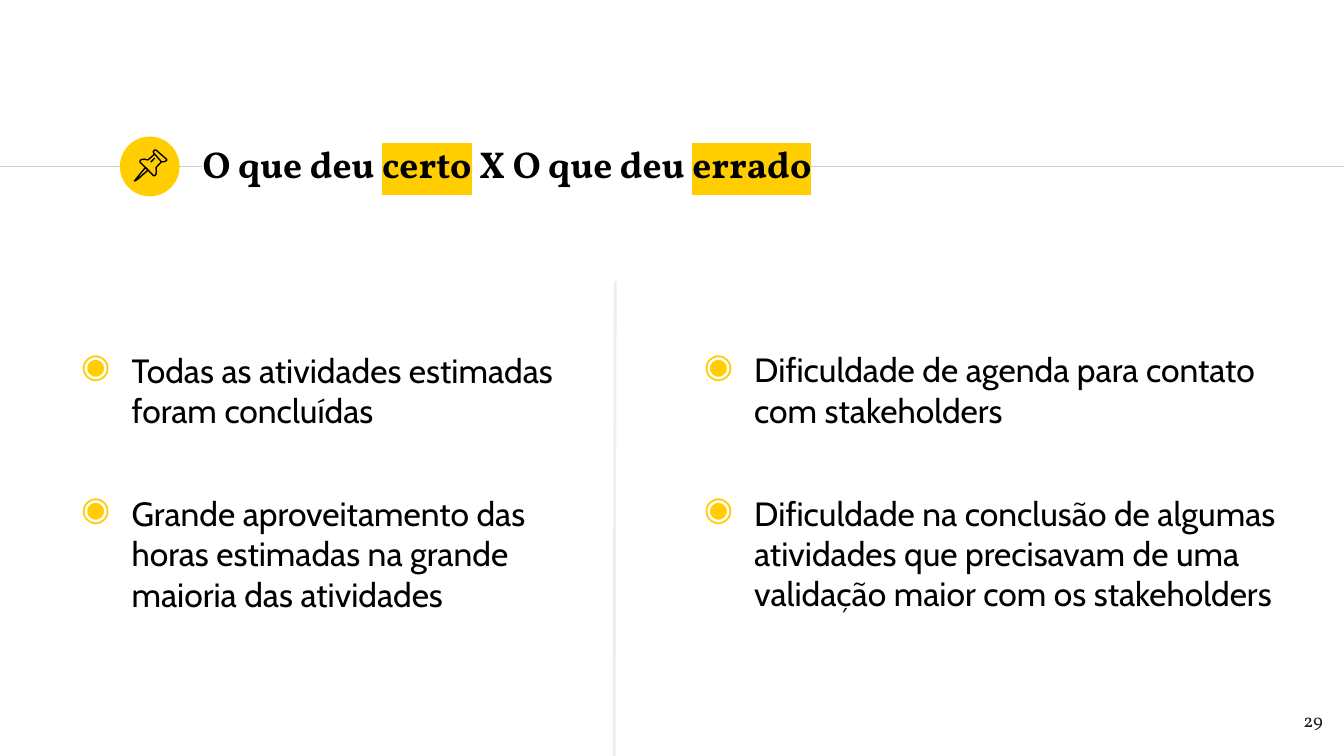
from lxml import etree
from pptx import Presentation
from pptx.dml.color import RGBColor
from pptx.enum.shapes import MSO_CONNECTOR, MSO_SHAPE
from pptx.enum.text import MSO_ANCHOR, PP_ALIGN
from pptx.oxml.ns import qn
from pptx.util import Pt

STRAIGHT = MSO_CONNECTOR.STRAIGHT
OVAL = MSO_SHAPE.OVAL
TOP, MIDDLE = MSO_ANCHOR.TOP, MSO_ANCHOR.MIDDLE
RIGHT = PP_ALIGN.RIGHT

BLACK = RGBColor(0x00, 0x00, 0x00)
INK = RGBColor(0x1D, 0x1D, 0x1B)
YELLOW = RGBColor(0xFF, 0xCD, 0x00)
GRAY = RGBColor(0xCC, 0xCC, 0xCC)
CREAM = RGBColor(0xF0, 0xEE, 0xE9)

SERIF, SANS = "Vollkorn", "Cabin"
WIDTH, HEIGHT = 720, 405

TITLE = [("O que deu ", False), ("certo", True), (" X O que deu ", False), ("errado", True)]
RIGHT_ITEMS = [
    "Todas as atividades estimadas foram concluídas",
    "Grande aproveitamento das horas estimadas na grande maioria das atividades",
]
WRONG_ITEMS = [
    "Dificuldade de agenda para contato com stakeholders",
    "Dificuldade na conclusão de algumas atividades que precisavam de uma "
    "validação maior com os stakeholders",
]

NEEDLE = [(13.7, 16.6), (8.3, 23.2), (7.9, 23.8), (9.4, 23), (15.1, 18)]
HEAD = [(18.7, 9.4), (22.3, 13.5), (23.8, 13.5), (25.1, 12.8), (25.1, 12.2),
        (19.4, 7.2), (18.7, 7.2), (18, 7.9), (18, 8.6)]
BODY = [(18.7, 9.4), (15.1, 12.5), (13, 12.1), (11.5, 12.4), (10.8, 13), (10.8, 13.7),
        (18, 20.9), (18.7, 20.9), (19.4, 20.2), (19.6, 18.4), (19.4, 16.6), (22.3, 13.5)]
GLINT = [(16.6, 13.7), (18.7, 11.5)]
PIN = [(NEEDLE, True), (HEAD, True), (BODY, False), (GLINT, False)]


def add_line(s, x1, y1, x2, y2, color, weight):
    line = s.shapes.add_connector(STRAIGHT, Pt(x1), Pt(y1), Pt(x2), Pt(y2))
    line.line.color.rgb = color
    line.line.width = Pt(weight)
    etree.SubElement(line._element.spPr, qn("a:effectLst"))


def add_text_frame(s, x, y, w, h, anchor=TOP):
    tf = s.shapes.add_textbox(Pt(x), Pt(y), Pt(w), Pt(h)).text_frame
    tf.word_wrap = True
    tf.vertical_anchor = anchor
    tf.margin_left = tf.margin_right = tf.margin_top = tf.margin_bottom = Pt(7.2)
    return tf


def set_font(p, name, size, color, bold=False):
    p.font.name = name
    p.font.size = Pt(size)
    p.font.color.rgb = color
    p.font.bold = bold


def highlight(r, color):
    mark = etree.SubElement(r._r.get_or_add_rPr(), qn("a:highlight"))
    etree.SubElement(mark, qn("a:srgbClr"), val=str(color))


def set_bullet(p, char, color):
    pPr = p._p.get_or_add_pPr()
    pPr.set("marL", str(Pt(36)))
    pPr.set("indent", str(Pt(-27)))
    bullet_color = etree.Element(qn("a:buClr"))
    etree.SubElement(bullet_color, qn("a:srgbClr"), val=str(color))
    bullet = etree.Element(qn("a:buChar"), char=char)
    defRPr = pPr.find(qn("a:defRPr"))
    defRPr.addprevious(bullet_color)
    defRPr.addprevious(bullet)


def add_pin_icon(s, x, y, size):
    sp = s.shapes.add_shape(OVAL, Pt(x), Pt(y), Pt(size), Pt(size))
    sp.shadow.inherit = False
    sp.fill.solid()
    sp.fill.fore_color.rgb = YELLOW
    sp.line.fill.background()
    pin = s.shapes.add_group_shape()
    for outline, closed in PIN:
        points = [(Pt(x + dx), Pt(y + dy)) for dx, dy in outline]
        builder = pin.shapes.build_freeform(*points[0])
        builder.add_line_segments(points[1:], close=closed)
        sp = builder.convert_to_shape()
        sp.shadow.inherit = False
        sp.fill.background()
        sp.line.color.rgb = BLACK
        sp.line.width = Pt(0.75)


def add_header(s, x, y, w, h):
    middle = y + h / 2
    add_line(s, x, middle, x + 108, middle, GRAY, 0.75)
    add_line(s, x + 415, middle, x + w, middle, GRAY, 0.75)
    add_pin_icon(s, x + 64.2, y, h)
    tf = add_text_frame(s, x + 101.5, y - 2.8, 355.7, 34.6, MIDDLE)
    p = tf.paragraphs[0]
    set_font(p, SERIF, 20, BLACK, bold=True)
    for text, marked in TITLE:
        r = p.add_run()
        r.text = text
        if marked:
            highlight(r, YELLOW)


def add_bullet_list(s, x, y, w, h, items):
    tf = add_text_frame(s, x, y, w, h)
    for i, item in enumerate(items):
        p = tf.add_paragraph() if i else tf.paragraphs[0]
        p.text = item
        p.space_before = Pt(33.6 if i else 6)
        set_font(p, SANS, 18, BLACK)
        set_bullet(p, "◉", YELLOW)


def add_page_number(s, x, y, w, h, number):
    p = add_text_frame(s, x, y, w, h).paragraphs[0]
    p.text = str(number)
    p.alignment = RIGHT
    set_font(p, SERIF, 10, INK)


def main():
    prs = Presentation()
    prs.slide_width, prs.slide_height = Pt(WIDTH), Pt(HEIGHT)
    s = prs.slides.add_slide(prs.slide_layouts[6])
    add_header(s, 0, 73.2, WIDTH, 32)
    add_bullet_list(s, 27.4, 180, 291.6, 137.5, RIGHT_ITEMS)
    add_page_number(s, 672.5, 373.7, 43.2, 31, 29)
    add_bullet_list(s, 361, 180, 342.7, 197.3, WRONG_ITEMS)
    add_line(s, 329.6, 150.6, 329, HEIGHT, CREAM, 1.5)
    prs.save("out.pptx")


if __name__ == "__main__":
    main()
